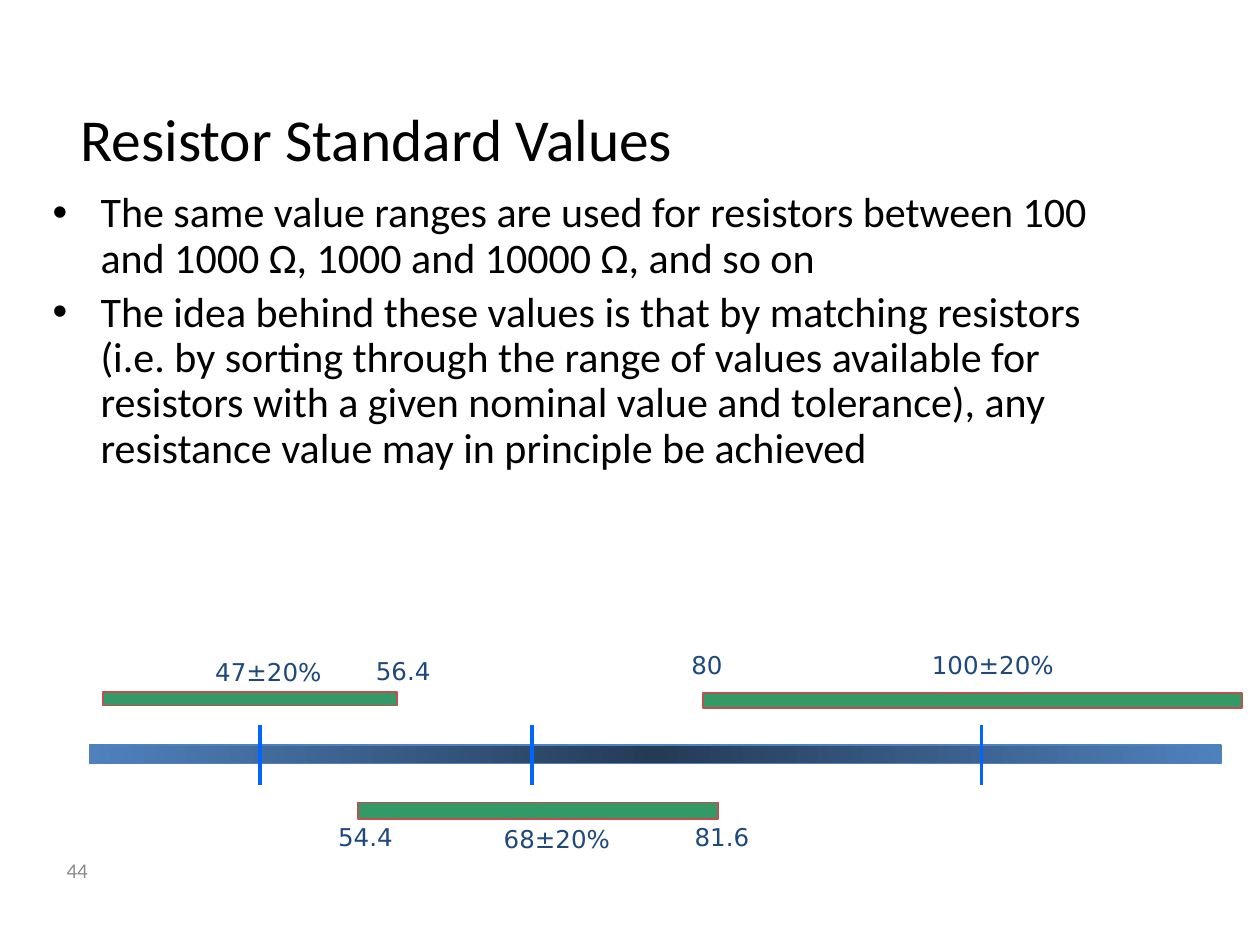
from copy import deepcopy
from dataclasses import dataclass

from lxml.etree import SubElement as Sub
from pptx import Presentation
from pptx.dml.color import RGBColor as RGB
from pptx.enum.shapes import MSO_CONNECTOR as Conn, MSO_SHAPE as Shape
from pptx.enum.text import MSO_ANCHOR as Anchor, PP_ALIGN as Align
from pptx.oxml.ns import qn
from pptx.util import Inches, Pt

# Content
TITLE = "Resistor Standard Values"
POINTS = [
    "The same value ranges are used for resistors between 100 and 1000 Ω, "
    "1000 and 10000 Ω, and so on",
    "The idea behind these values is that by matching resistors (i.e. by "
    "sorting through the range of values available for resistors with a given "
    "nominal value and tolerance), any resistance value may in principle be achieved",
]
PAGE = "44"
# Tolerance bands: left, top, width, height
BANDS = [(0.82, 5.49, 2.33, 0.11), (2.84, 6.37, 2.86, 0.13), (5.58, 5.5, 4.28, 0.12)]
# Labels: text, centre, top
LABELS = [
    ("47±20%", 2.13, 5.2), ("56.4", 3.2, 5.19),
    ("80", 5.61, 5.14), ("100±20%", 7.88, 5.14),
    ("54.4", 2.9, 6.51), ("68±20%", 4.42, 6.52), ("81.6", 5.73, 6.51),
]
AXIS = (0.71, 5.91, 8.98, 0.15)
TICKS = [2.06, 4.22, 7.79]  # nominal values
TICK_TOP, TICK_END = 5.75, 6.23
LABEL_W, LABEL_H = 1.65, 0.3


@dataclass(frozen=True)
class Theme:
    font: str = "Calibri"
    label_font: str = "DejaVu Sans"
    ink: str = "000000"
    label: str = "1F497D"
    grey: str = "8C8C8C"
    axis: str = "4F81BD"
    deep: str = "243B56"
    tick: str = "0066FF"
    band: str = "339966"
    edge: str = "C0504D"
    title_pt: int = 34
    body_pt: int = 24
    label_pt: int = 14
    page_pt: int = 12


T = Theme()
hue = RGB.from_string

deck = Presentation()
deck.slide_width, deck.slide_height = Inches(10), Inches(7.5)
slide = deck.slides.add_slide(deck.slide_layouts[6])
shapes = slide.shapes


def frame(box, anchor=Anchor.TOP):
    text = shapes.add_textbox(*map(Inches, box)).text_frame
    text.word_wrap = True
    text.vertical_anchor = anchor
    return text


def write(para, words, size, color, font=T.font):
    run = para.add_run()
    run.text = words
    run.font.size, run.font.name = Pt(size), font
    run.font.color.rgb = hue(color)


def bullet(para):
    props = para._p.get_or_add_pPr()
    props.set("marL", str(Inches(0.38)))
    props.set("indent", str(-Inches(0.38)))
    Sub(props, qn("a:buFont")).set("typeface", "Arial")
    Sub(props, qn("a:buChar")).set("char", "•")


def bar(box, edge):
    rect = shapes.add_shape(Shape.RECTANGLE, *map(Inches, box))
    rect.shadow.inherit = False
    rect.line.color.rgb = hue(edge)
    rect.line.width = Pt(1)
    return rect


# Title and bullet points
write(frame((0.54, 0.72, 8.49, 0.75), Anchor.MIDDLE).paragraphs[0],
      TITLE, T.title_pt, T.ink)
body = frame((0.32, 1.47, 8.93, 3.89))
for i, point in enumerate(POINTS):
    para = body.add_paragraph() if i else body.paragraphs[0]
    bullet(para)
    para.line_spacing = 0.9
    if i:
        para.space_before = Pt(5)
    write(para, point, T.body_pt, T.ink)

# Value axis, darkest in the middle
axis = bar(AXIS, T.axis)
axis.fill.gradient()
axis.fill.gradient_angle = 0
stops = axis._element.spPr.find(qn("a:gradFill")).find(qn("a:gsLst"))
stops.insert(1, deepcopy(stops[0]))
for stop, place, color in zip(axis.fill.gradient_stops, (0, 0.5, 1),
                              (T.axis, T.deep, T.axis)):
    stop.position = place
    stop.color.rgb = hue(color)

# Ticks at the nominal values
for x in TICKS:
    tick = shapes.add_connector(Conn.STRAIGHT, *map(Inches, (x, TICK_TOP, x, TICK_END)))
    tick.line.color.rgb = hue(T.tick)
    tick.line.width = Pt(2.25)
    Sub(tick._element.spPr, qn("a:effectLst"))

# Tolerance bands
for box in BANDS:
    band = bar(box, T.edge)
    band.fill.solid()
    band.fill.fore_color.rgb = hue(T.band)

# Value labels
for words, mid, top in LABELS:
    para = frame((mid - LABEL_W / 2, top, LABEL_W, LABEL_H)).paragraphs[0]
    para.alignment = Align.CENTER
    para.line_spacing = 0.87
    write(para, words, T.label_pt, T.label, T.label_font)

# Page number
write(frame((0.43, 6.71, 2.33, 0.4), Anchor.MIDDLE).paragraphs[0],
      PAGE, T.page_pt, T.grey)

deck.save("out.pptx")
